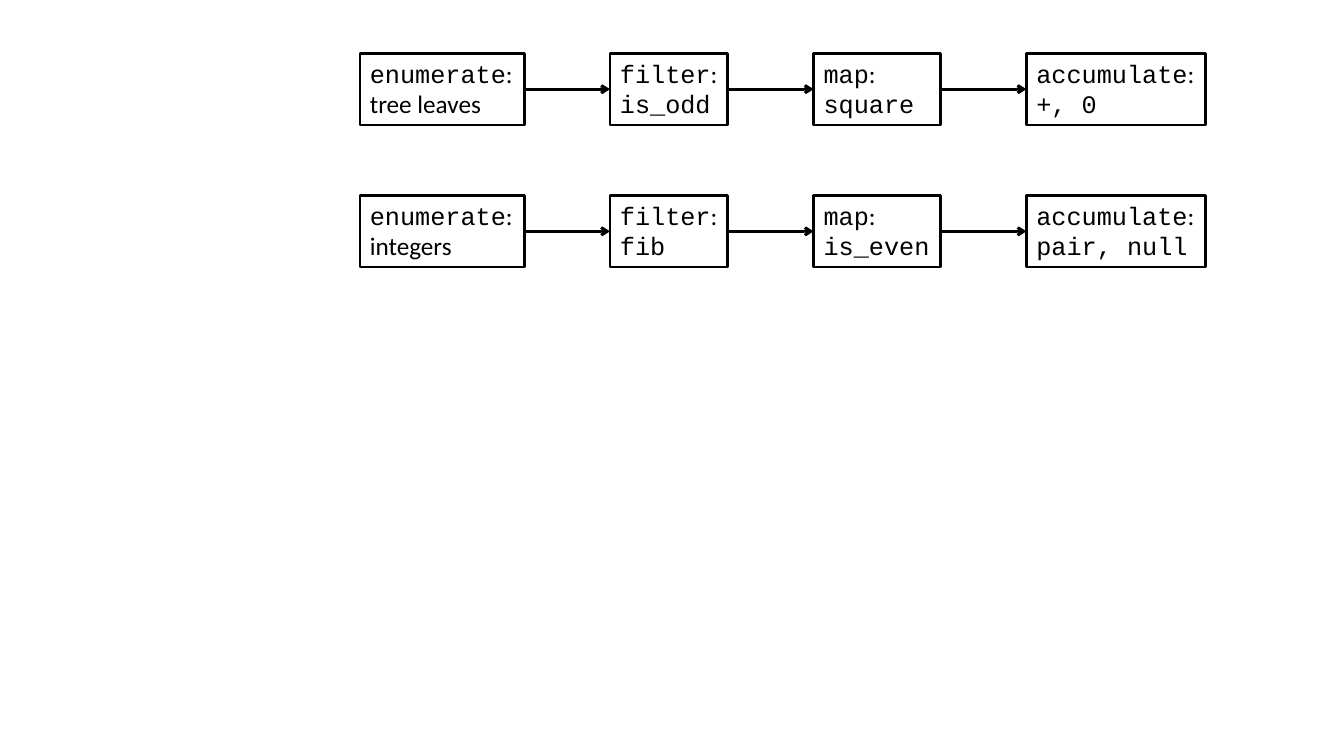
import pptx
import pptx.util
import pptx.dml.color
import pptx.enum.shapes
import pptx.enum.text
import pptx.oxml
import pptx.oxml.ns
from pptx.util import Inches

MONO, SANS = "Courier New", "Calibri"
BLACK = "000000"
WIDTHS = (1.63, 1.17, 1.26, 1.78)
GAP, HIGH = 0.85, 0.71
LEFT, TOP, PITCH = 3.57, 0.53, 1.41
FLOWS = (
    (("enumerate", "tree leaves", SANS), ("filter", "is_odd", MONO),
     ("map", "square", MONO), ("accumulate", "+, 0", MONO)),
    (("enumerate", "integers", SANS), ("filter", "fib", MONO),
     ("map", "is_even", MONO), ("accumulate", "pair, null", MONO)),
)


def color(code):
    """Turn a hex string into a colour."""
    return pptx.dml.color.RGBColor.from_string(code)


def stroke(line):
    """Give a line the black two-point look."""
    line.color.rgb = color(BLACK)
    line.width = pptx.util.Pt(2)


def write(para, text, face):
    """Add a run of text in the given font."""
    run = para.add_run()
    run.text = text
    run.font.name = face
    run.font.size = pptx.util.Pt(18)
    run.font.color.rgb = color(BLACK)


def stage(slide, x, y, wide, label, value, face):
    """Draw one framed stage with its label above its value."""
    box = slide.shapes.add_textbox(
        Inches(x), Inches(y), Inches(wide), Inches(HIGH))
    stroke(box.line)
    frame = box.text_frame
    frame.word_wrap = False
    frame.auto_size = pptx.enum.text.MSO_AUTO_SIZE.SHAPE_TO_FIT_TEXT
    head = frame.paragraphs[0]
    write(head, label, MONO)
    write(head, ":", SANS)
    write(frame.add_paragraph(), value, face)
    return box


def arrow(slide, start, end):
    """Join the right side of one stage to the left side of the next."""
    link = slide.shapes.add_connector(
        pptx.enum.shapes.MSO_CONNECTOR.STRAIGHT, 0, 0, 0, 0)
    link.begin_connect(start, 3)
    link.end_connect(end, 1)
    stroke(link.line)
    tail = pptx.oxml.parse_xml(
        "<a:tailEnd %s type='arrow'/>" % pptx.oxml.ns.nsdecls("a"))
    link.line._get_or_add_ln().append(tail)
    flat = pptx.oxml.parse_xml(
        "<a:effectLst %s/>" % pptx.oxml.ns.nsdecls("a"))
    link._element.spPr.append(flat)


def flow(slide, x, y, parts):
    """Lay out one row of stages joined by arrows."""
    boxes = []
    for wide, part in zip(WIDTHS, parts):
        boxes.append(stage(slide, x, y, wide, *part))
        x += wide + GAP
    for start, end in zip(boxes, boxes[1:]):
        arrow(slide, start, end)


def main():
    """Build the slide and save it."""
    deck = pptx.Presentation()
    deck.slide_width = Inches(13.33)
    deck.slide_height = Inches(7.5)
    slide = deck.slides.add_slide(deck.slide_layouts[6])
    for row, parts in enumerate(FLOWS):
        flow(slide, LEFT, TOP + row * PITCH, parts)
    deck.save("out.pptx")


if __name__ == "__main__":
    main()
